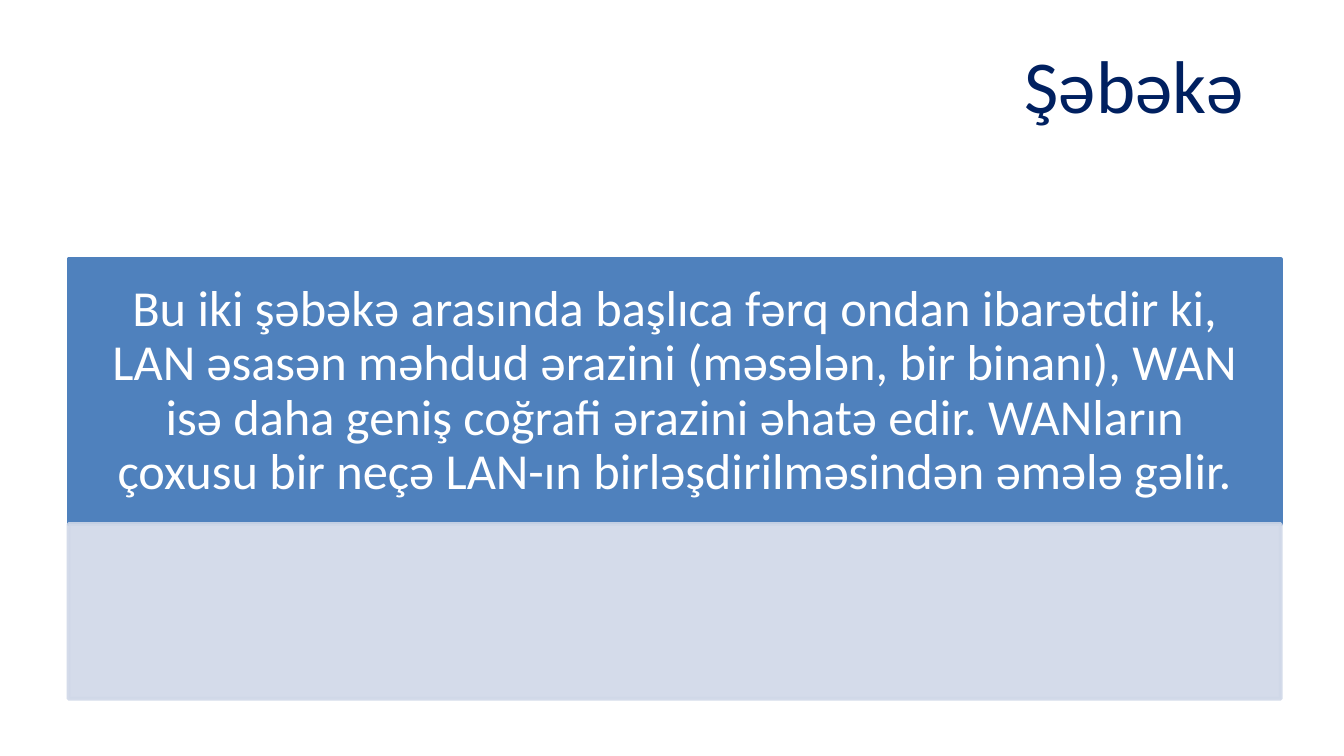
from dataclasses import dataclass

from lxml.etree import SubElement as Sub
from pptx import Presentation
from pptx.dml.color import RGBColor as Rgb
from pptx.enum.shapes import MSO_SHAPE as Shape
from pptx.enum.text import MSO_ANCHOR as Anchor, PP_ALIGN as Align
from pptx.oxml.ns import qn
from pptx.util import Inches, Pt


@dataclass(frozen=True)
class Theme:
    font: str = "Calibri"
    navy: str = "002060"
    blue: str = "4F81BD"
    pale: str = "D0D8E8"
    white: str = "FFFFFF"
    title: int = 40
    body: int = 27
    edge: int = 2


THEME = Theme()
LEFT, TOP, WIDTH = 0.51, 1.93, 9.02
HEAD, FOOT = 1.97, 1.3
BODY = (
    "Bu iki şəbəkə arasında başlıca fərq ondan ibarətdir ki, "
    "LAN əsasən məhdud ərazini (məsələn, bir binanı), WAN isə daha "
    "geniş coğrafi ərazini əhatə edir. WANların çoxusu bir neçə "
    "LAN-ın birləşdirilməsindən əmələ gəlir."
)


def write(shape, text, size, color, align):
    frame = shape.text_frame
    frame.word_wrap = True
    frame.vertical_anchor = Anchor.MIDDLE
    frame.text = text
    para = frame.paragraphs[0]
    para.alignment = align
    font = para.runs[0].font
    font.name = THEME.font
    font.size = Pt(size)
    font.color.rgb = Rgb.from_string(color)
    return frame


def add_title(slide, text):
    box = slide.shapes.add_textbox(
        Inches(0.32), Inches(0.2), Inches(9.03), Inches(0.84)
    )
    write(box, text, THEME.title, THEME.navy, Align.RIGHT)


def add_band(slide, top, height, color, alpha=100):
    band = slide.shapes.add_shape(
        Shape.RECTANGLE, Inches(LEFT), Inches(top), Inches(WIDTH), Inches(height)
    )
    band.shadow.inherit = False
    band.line.width = Pt(THEME.edge)
    band.fill.solid()
    for paint in (band.fill.fore_color, band.line.color):
        paint.rgb = Rgb.from_string(color)
    if alpha < 100:
        for tint in band.element.iter(qn("a:srgbClr")):
            Sub(tint, qn("a:alpha"), val=str(alpha * 1000))
    return band


def add_body(band, text):
    frame = write(band, text, THEME.body, THEME.white, Align.CENTER)
    frame.margin_left = frame.margin_right = Inches(0.21)
    frame.margin_top = frame.margin_bottom = Inches(0.12)
    frame.paragraphs[0].line_spacing = 0.9


def main():
    deck = Presentation()
    deck.slide_width = Inches(10)
    deck.slide_height = Inches(10) * 9 // 16
    slide = deck.slides.add_slide(deck.slide_layouts[6])
    add_title(slide, "Şəbəkə")
    band = add_band(slide, TOP, HEAD, THEME.blue)
    add_body(band, BODY)
    add_band(slide, TOP + HEAD, FOOT, THEME.pale, alpha=90)
    deck.save("out.pptx")


if __name__ == "__main__":
    main()
